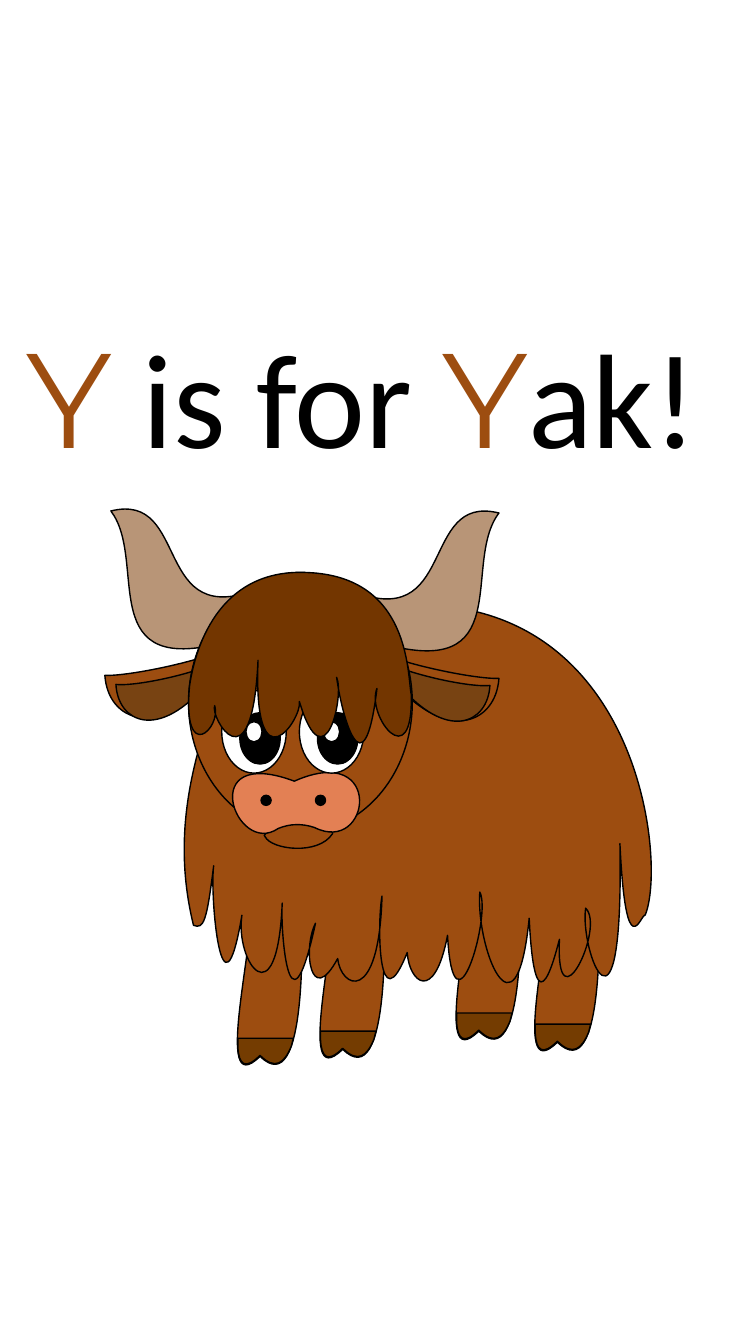
from collections import namedtuple

from lxml.etree import SubElement
from pptx import Presentation
from pptx.dml.color import RGBColor
from pptx.enum.shapes import MSO_SHAPE
from pptx.enum.text import MSO_AUTO_SIZE, PP_ALIGN
from pptx.oxml.ns import qn
from pptx.util import Pt

Box = namedtuple("Box", "left top width height")

COAT = RGBColor(0x9D, 0x4D, 0x10)
HOOF = RGBColor(0x74, 0x3C, 0x01)
HORN = RGBColor(0xB8, 0x95, 0x77)
INNER_EAR = RGBColor(0x78, 0x43, 0x12)
MUZZLE = RGBColor(0xE3, 0x80, 0x54)
FRINGE = RGBColor(0x73, 0x36, 0x00)
BLACK = RGBColor(0, 0, 0)
WHITE = RGBColor(255, 255, 255)

SLIDE_WIDTH, SLIDE_HEIGHT = 540, 960
GRID_WIDTH = 750  # the yak is laid out on a grid this many units wide
BOUND_STEPS = 50

# Outlines: a start point, then lines (2 numbers) and Bézier curves (6 numbers).
LEG_PATH = [(251, 870), (298, 870), (301, 927, 305, 1094, 258, 1048),
            (209, 1096, 256, 928, 251, 870)]
HOOF_PATH = [(236, 1030), (291, 1030), (289, 1038),
             (282, 1055, 273, 1062, 258, 1047),
             (243, 1062, 237, 1056, 236, 1039), (236, 1030)]
EAR_PATH = [(104, 670), (122, 671, 184, 660, 225, 644), (216, 665),
            (157, 738, 107, 715, 104, 670)]
INNER_EAR_PATH = [(115, 679), (130, 681, 180, 672, 214, 658), (207, 676),
                  (158, 736, 117, 717, 115, 679)]
HORN_PATH = [(110, 507), (190, 487, 150, 629, 259, 583), (231, 635),
             (90, 677, 148, 557, 110, 507)]
BODY_PATH = [(231, 644), (623, 474, 666, 847, 640, 908),
             (636, 906, 621, 963, 615, 837), (619, 1057, 575, 944, 581, 901),
             (601, 920, 551, 1023, 555, 932), (553, 938, 531, 1036, 525, 911),
             (512, 1042, 472, 940, 476, 885), (488, 907, 450, 1039, 444, 928),
             (431, 996, 406, 975, 404, 945), (375, 1018, 374, 917, 379, 889),
             (376, 999, 338, 980, 335, 951), (308, 1001, 300, 941, 313, 916),
             (285, 1045, 278, 912, 280, 896), (275, 1014, 233, 954, 240, 908),
             (220, 1026, 208, 888, 212, 859), (205, 915, 202, 922, 192, 918),
             (165, 809, 203, 721, 231, 644)]
CHIN_PATH = [(263, 830), (257, 828, 283, 816, 294, 816),
             (305, 815, 333, 824, 330, 827), (316, 849, 269, 843, 263, 830)]
MUZZLE_PATH = [(292, 775), (382, 735, 368, 849, 312, 821),
               (300, 817, 288, 817, 276, 822), (234, 851, 193, 738, 292, 775)]
FRINGE_PATH = [(213, 700), (220, 722, 181, 760, 188, 681),
               (191, 660, 208, 563, 305, 568), (408, 572, 404, 670, 408, 689),
               (410, 771, 363, 710, 374, 683), (361, 791, 339, 710, 334, 672),
               (342, 690, 322, 779, 297, 696), (300, 713, 251, 785, 256, 655),
               (250, 785, 208, 711, 213, 700)]

LEG_OFFSETS = [(0, 0), (82, -7), (295, -14), (217, -25)]
EYE_PARTS = [(220, 685, 64, 82, WHITE), (238, 707, 40, 51, BLACK),
             (244, 716, 16, 20, WHITE)]


def shift(outline, across, down):
    return [tuple(value + (down if index % 2 else across)
                  for index, value in enumerate(step)) for step in outline]


def mirror(outline, axis_sum, down):
    """Flip left to right; each x and its mirrored x add up to axis_sum."""
    return [tuple(value + down if index % 2 else axis_sum - value
                  for index, value in enumerate(step)) for step in outline]


def bounds(outline):
    """Return the left, top, right and bottom that the curves reach."""
    points = [outline[0]]
    for step in outline[1:]:
        if len(step) == 6:
            controls = [points[-1], step[:2], step[2:4], step[4:]]
            for number in range(1, BOUND_STEPS):
                t = number / BOUND_STEPS
                weights = ((1 - t) ** 3, 3 * t * (1 - t) ** 2,
                           3 * t ** 2 * (1 - t), t ** 3)
                points.append(tuple(
                    sum(w * c[axis] for w, c in zip(weights, controls))
                    for axis in (0, 1)))
        points.append(step[-2:])
    across, down = zip(*points)
    return min(across), min(down), max(across), max(down)


def paint(shape, color):
    shape.shadow.inherit = False
    shape.fill.solid()
    shape.fill.fore_color.rgb = color
    shape.line.color.rgb = BLACK
    shape.line.width = Pt(1)


def add_outline(shapes, box, outline, color):
    unit = box.width / GRID_WIDTH
    left, top, right, bottom = bounds(outline)
    builder = shapes.build_freeform(Pt(box.left + left * unit),
                                    Pt(box.top + top * unit))
    builder.add_line_segments([(Pt(box.left + right * unit),
                                Pt(box.top + bottom * unit))])
    shape = builder.convert_to_shape()
    geometry = next(shape._element.iter(qn("a:path")))
    for child in list(geometry):
        geometry.remove(child)
    for index, step in enumerate(outline):
        tag = "a:cubicBezTo" if len(step) == 6 else "a:lnTo" if index else "a:moveTo"
        command = SubElement(geometry, qn(tag))
        for x, y in zip(step[::2], step[1::2]):
            SubElement(command, qn("a:pt"), x=str(Pt((x - left) * unit)),
                       y=str(Pt((y - top) * unit)))
    SubElement(geometry, qn("a:close"))
    paint(shape, color)


def add_oval(shapes, box, left, top, width, height, color):
    unit = box.width / GRID_WIDTH
    oval = shapes.add_shape(
        MSO_SHAPE.OVAL, Pt(box.left + left * unit), Pt(box.top + top * unit),
        Pt(width * unit), Pt(height * unit))
    paint(oval, color)


def add_body(shapes, box):
    """Draw the legs, the coat, the ears and the horns."""
    for offset in LEG_OFFSETS:
        add_outline(shapes, box, shift(LEG_PATH, *offset), COAT)
        add_outline(shapes, box, shift(HOOF_PATH, *offset), HOOF)
    for outline, color in (
            (EAR_PATH, COAT), (HORN_PATH, HORN), (BODY_PATH, COAT),
            (mirror(EAR_PATH, 599, 3), COAT), (mirror(HORN_PATH, 605, 2), HORN),
            (mirror(INNER_EAR_PATH, 601, 1), INNER_EAR),
            (INNER_EAR_PATH, INNER_EAR)):
        add_outline(shapes, box, outline, color)


def add_face(shapes, box):
    add_oval(shapes, box, 187, 568, 222, 258, COAT)
    add_outline(shapes, box, CHIN_PATH, COAT)
    add_outline(shapes, box, MUZZLE_PATH, MUZZLE)
    for nostril_left in (259, 313):
        add_oval(shapes, box, nostril_left, 789, 10, 10, BLACK)
    for eye_offset in (77, 0):
        for left, top, width, height, color in EYE_PARTS:
            add_oval(shapes, box, left + eye_offset, top, width, height, color)
    add_outline(shapes, box, FRINGE_PATH, FRINGE)


def add_text_outline(run):
    properties = run.font._element
    line = SubElement(properties, qn("a:ln"), w=str(Pt(0.75)))
    fill = SubElement(line, qn("a:solidFill"))
    SubElement(fill, qn("a:srgbClr"), val=str(BLACK))
    properties.insert(0, line)


def add_title(slide, box):
    text_box = slide.shapes.add_textbox(*(Pt(length) for length in box))
    frame = text_box.text_frame
    frame.word_wrap = True
    frame.auto_size = MSO_AUTO_SIZE.SHAPE_TO_FIT_TEXT
    paragraph = frame.paragraphs[0]
    paragraph.alignment = PP_ALIGN.CENTER
    for text, name, color, outlined in (
            ("Y", "Montserrat", COAT, True), (" is for ", "Calibri", BLACK, False),
            ("Y", "Montserrat", COAT, True), ("ak", "Calibri", BLACK, True),
            ("! ", "Calibri", BLACK, False)):
        run = paragraph.add_run()
        run.text = text
        for attribute, value in {"name": name, "size": Pt(96)}.items():
            setattr(run.font, attribute, value)
        run.font.color.rgb = color
        if outlined:
            add_text_outline(run)


def main():
    presentation = Presentation()
    presentation.slide_width = Pt(SLIDE_WIDTH)
    presentation.slide_height = Pt(SLIDE_HEIGHT)
    slide = presentation.slides.add_slide(presentation.slide_layouts[6])
    canvas = Box(0, 0, SLIDE_WIDTH, SLIDE_HEIGHT)
    add_title(slide, Box(-34, 220.5, 607, 124))
    yak = slide.shapes.add_group_shape()
    add_body(yak.shapes, canvas)
    add_face(yak.shapes, canvas)
    presentation.save("out.pptx")


if __name__ == "__main__":
    main()
